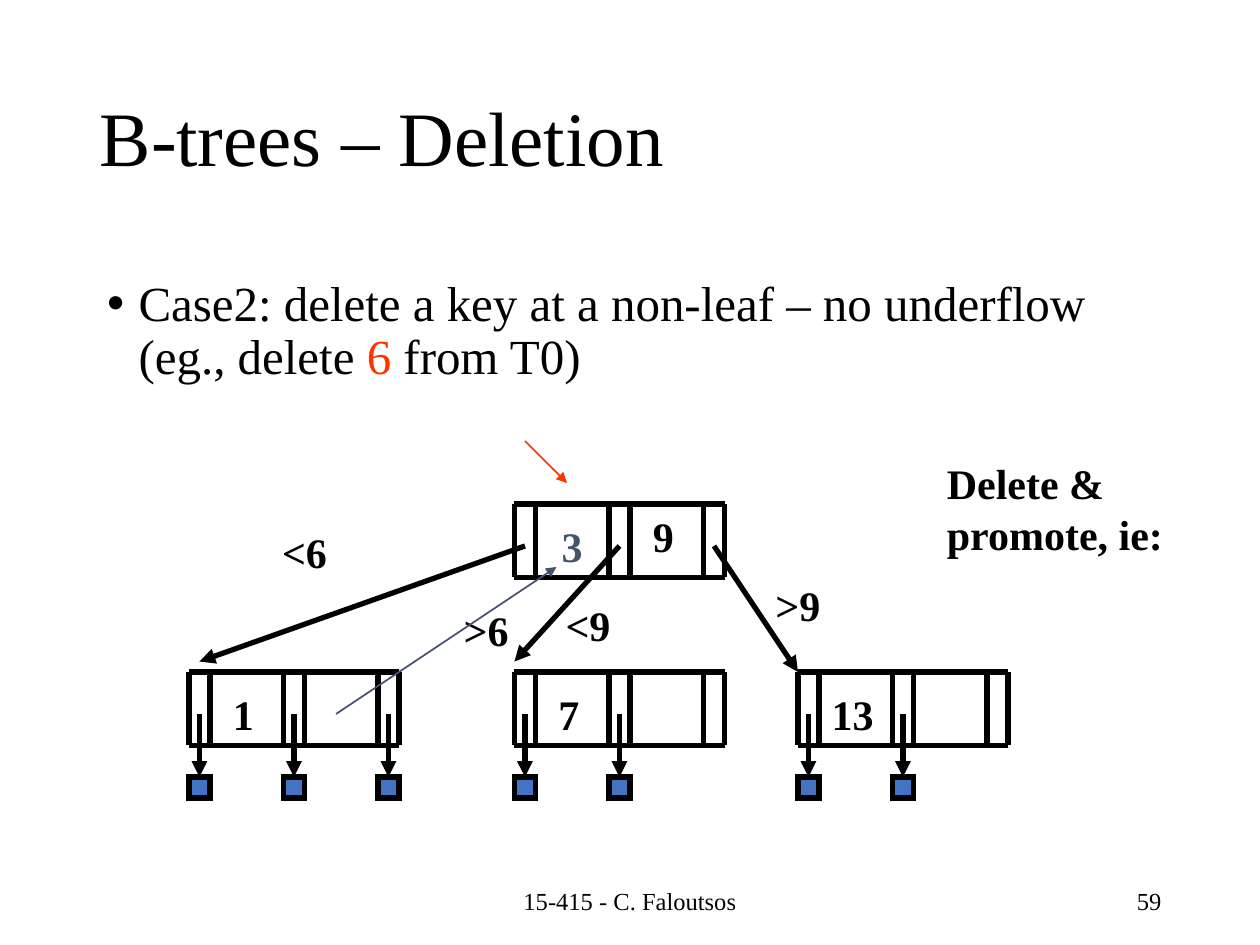
import dataclasses

import lxml.etree
import pptx
import pptx.dml.color
import pptx.enum.shapes
import pptx.enum.text
import pptx.oxml.ns
import pptx.util

PX = 7620
ALIGN = pptx.enum.text.PP_ALIGN
ANCHOR = pptx.enum.text.MSO_ANCHOR
AUTO = pptx.enum.text.MSO_AUTO_SIZE
qn = pptx.oxml.ns.qn


@dataclasses.dataclass(frozen=True)
class Theme:
    font: str = "Times New Roman"
    ink: str = "000000"
    hot: str = "FF3300"
    slate: str = "44546A"
    record: str = "4472C4"
    title: int = 44
    body: int = 28
    label: int = 24
    footer: int = 14
    thick: int = 3
    thin: int = 1


THEME = Theme()


def px(n):
    return pptx.util.Emu(n * PX)


def rgb(color):
    return pptx.dml.color.RGBColor.from_string(color)


def style(font, size, color=THEME.ink, bold=False):
    font.name = THEME.font
    font.size = pptx.util.Pt(size)
    font.bold = bold
    font.color.rgb = rgb(color)


def move(sp, box):
    sp.left, sp.top, sp.width, sp.height = map(px, box)


def add_text(s, box, text, size=THEME.label, color=THEME.ink, bold=True,
             align=ALIGN.CENTER, anchor=ANCHOR.TOP, wrap=False):
    sp = s.shapes.add_textbox(*map(px, box))
    tf = sp.text_frame
    tf.word_wrap = wrap
    tf.auto_size = AUTO.NONE if wrap else AUTO.SHAPE_TO_FIT_TEXT
    tf.vertical_anchor = anchor
    p = tf.paragraphs[0]
    p.text = text
    p.alignment = align
    style(p.font, size, color, bold)


def add_line(s, x1, y1, x2, y2, color=THEME.ink, width=THEME.thick, arrow=False):
    c = s.shapes.add_connector(pptx.enum.shapes.MSO_CONNECTOR.STRAIGHT,
                               px(x1), px(y1), px(x2), px(y2))
    c.line.color.rgb = rgb(color)
    c.line.width = pptx.util.Pt(width)
    if arrow:
        lxml.etree.SubElement(c.line._get_or_add_ln(), qn("a:tailEnd"), type="triangle")
    lxml.etree.SubElement(c._element.spPr, qn("a:effectLst"))


def add_title(s, box):
    sp = s.shapes.title
    move(sp, box)
    tf = sp.text_frame
    tf.auto_size = AUTO.NONE
    tf.vertical_anchor = ANCHOR.MIDDLE
    p = tf.paragraphs[0]
    p.text = "B-trees – Deletion"
    p.alignment = ALIGN.LEFT
    p.line_spacing = 0.9
    style(p.font, THEME.title)


def add_body(s, box):
    sp = s.placeholders[1]
    move(sp, box)
    tf = sp.text_frame
    tf.auto_size = AUTO.NONE
    p = tf.paragraphs[0]
    pPr = p._p.get_or_add_pPr()
    pPr.set("marL", str(px(30)))
    pPr.set("indent", str(px(-30)))
    p.line_spacing = 0.9
    p.space_before = pptx.util.Pt(0)
    for text, color in (
        ("Case2: delete a key at a non-leaf – no underflow (eg., delete ", THEME.ink),
        ("6", THEME.hot),
        (" from T0)", THEME.ink),
    ):
        r = p.add_run()
        r.text = text
        style(r.font, THEME.body, color)


def add_node(s, box, records=0):
    x, y, w, h = box
    slot = 20
    pitch = (w - slot) // 2
    slots = [x + i * pitch for i in range(3)]
    for left in slots:
        for edge in (left, left + slot):
            add_line(s, edge, y, edge, y + h)
    for edge in (y, y + h):
        add_line(s, x, edge, x + w, edge)
    for left in slots[:records]:
        add_line(s, left + slot // 2, y + 40, left + slot // 2, y + 100, arrow=True)
        sp = s.shapes.add_shape(pptx.enum.shapes.MSO_SHAPE.RECTANGLE,
                                *map(px, (left, y + 100, slot, slot)))
        sp.shadow.inherit = False
        sp.fill.solid()
        sp.fill.fore_color.rgb = rgb(THEME.record)
        sp.line.color.rgb = rgb(THEME.ink)
        sp.line.width = pptx.util.Pt(THEME.thick)
        lxml.etree.SubElement(sp.line._get_or_add_ln(), qn("a:miter"), lim="800000")


def add_tree(s, box):
    x, y, w, h = box
    node_w, node_h = 200, 70
    root_x, leaf_y = x + 310, y + h - 120
    add_node(s, (root_x, y, node_w, node_h))
    leaves = ((0, "1", 30, 43, 3), (310, "7", 30, 43, 2), (580, "13", 20, 64, 2))
    for left, key, dx, key_w, records in leaves:
        add_node(s, (x + left, leaf_y, node_w, node_h), records)
        add_text(s, (x + left + dx, leaf_y + 10, key_w, 60), key)
    for i, (end_x, end_y) in enumerate(((10, 150), (310, 150), (580, 160))):
        add_line(s, root_x + 10 + 90 * i, y + 40, x + end_x, y + end_y, arrow=True)
    add_text(s, (root_x + 120, y, 43, 60), "9")
    for left, top, text in ((75, 16, "<6"), (248, 90, ">6"),
                            (345, 85, "<9"), (545, 66, ">9")):
        add_text(s, (x + left, y + top, 70, 60), text)
    add_line(s, root_x + 10, y - 60, root_x + 50, y - 20,
             THEME.hot, THEME.thin, arrow=True)
    add_text(s, (root_x + 30, y + 10, 50, 60), "3", color=THEME.slate)
    add_line(s, x + 140, leaf_y + 40, root_x + 40, y + 60,
             THEME.slate, THEME.thin, arrow=True)


def add_footer(s, box):
    x, y, w, h = box
    for left, width, text, align in (
        (x, 404, "15-415 - C. Faloutsos", ALIGN.CENTER),
        (x + w - 270, 270, "59", ALIGN.RIGHT),
    ):
        add_text(s, (left, y, width, h), text, THEME.footer, bold=False,
                 align=align, anchor=ANCHOR.MIDDLE, wrap=True)


def main():
    prs = pptx.Presentation()
    prs.slide_width, prs.slide_height = px(1200), px(900)
    s = prs.slides.add_slide(prs.slide_layouts[1])
    add_title(s, (83, 48, 1036, 174))
    add_body(s, (90, 260, 1030, 140))
    add_tree(s, (180, 480, 780, 280))
    add_text(s, (890, 430, 280, 108), "Delete & promote, ie:",
             align=ALIGN.LEFT, wrap=True)
    add_footer(s, (398, 834, 720, 48))
    prs.save("out.pptx")


if __name__ == "__main__":
    main()
